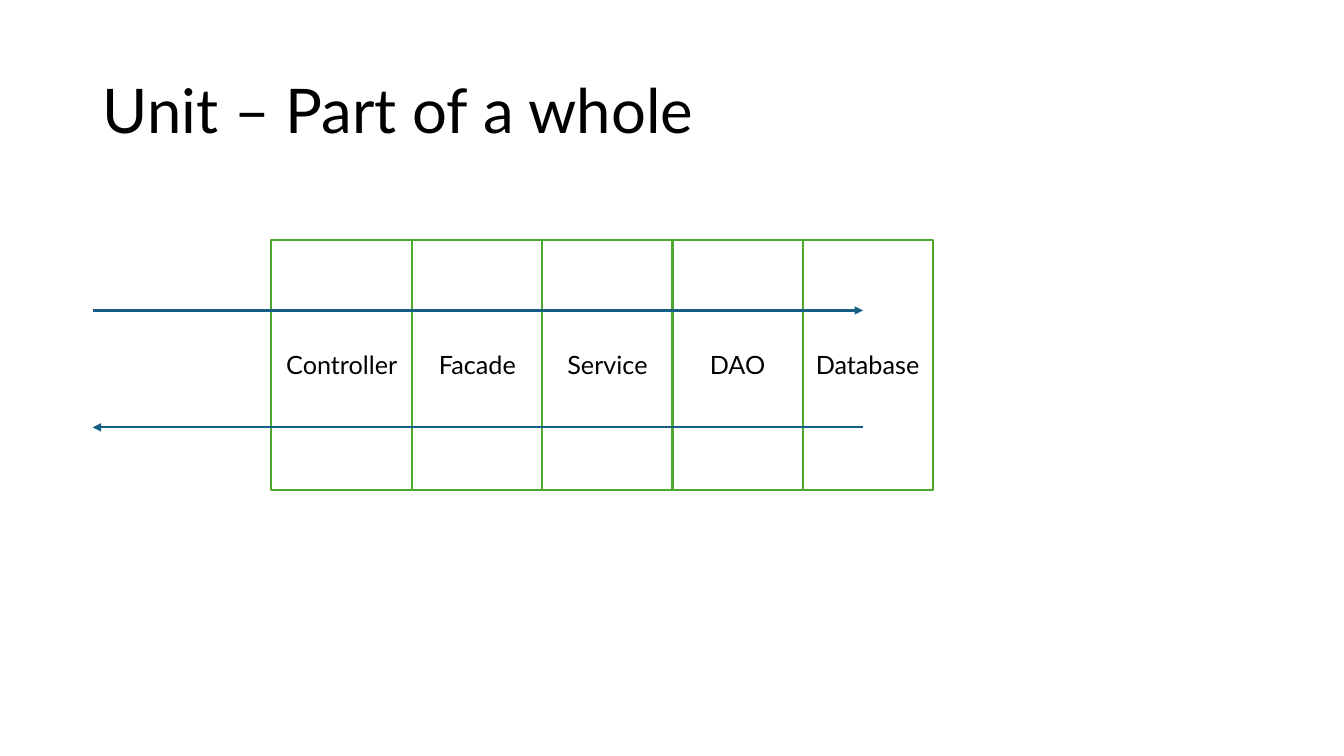
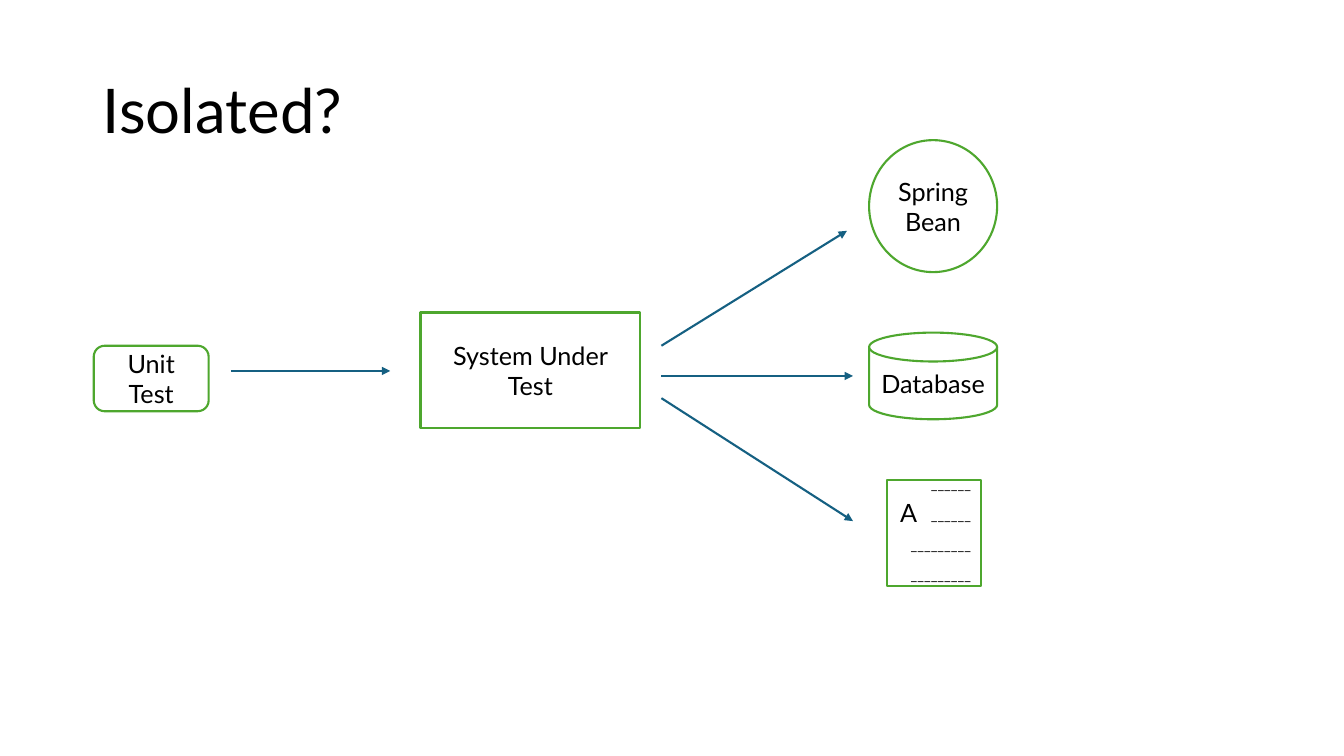
from dataclasses import dataclass

import pptx
import pptx.dml.color
import pptx.enum.shapes
import pptx.enum.text
import pptx.oxml
import pptx.oxml.ns
import pptx.util
from pptx.util import Inches

Kind = pptx.enum.shapes.MSO_SHAPE
Align = pptx.enum.text.PP_ALIGN
Anchor = pptx.enum.text.MSO_ANCHOR


@dataclass(frozen=True)
class Theme:
    font: str = "Lato"
    ink: str = "000000"
    paper: str = "FFFFFF"
    edge: str = "4EA72E"
    arrow: str = "156082"
    head: float = 44
    body: float = 18
    line: float = 1.5


@dataclass(frozen=True)
class Node:
    text: str
    left: float
    top: float
    width: float
    height: float
    kind: Kind = Kind.RECTANGLE
    align: Align = Align.CENTER
    raised: bool = False


@dataclass(frozen=True)
class Arrow:
    x1: float
    y1: float
    x2: float
    y2: float


THEME = Theme()


def color(code: str) -> pptx.dml.color.RGBColor:
    return pptx.dml.color.RGBColor.from_string(code)


def write(frame, text: str, *, size: float = THEME.body, align: Align = Align.CENTER,
          anchor: Anchor = Anchor.MIDDLE, space: float | None = None,
          raised: bool = False) -> None:
    """Fill a text frame, one paragraph per line; raised sets superscript."""
    frame.word_wrap = True
    frame.auto_size = pptx.enum.text.MSO_AUTO_SIZE.NONE
    frame.vertical_anchor = anchor
    for i, line in enumerate(text.split("\n")):
        para = frame.add_paragraph() if i else frame.paragraphs[0]
        para.alignment = align
        para.line_spacing = space
        run = para.add_run()
        run.text = line
        run.font.name = THEME.font
        run.font.size = pptx.util.Pt(size)
        run.font.color.rgb = color(THEME.ink)
        if raised:
            run._r.get_or_add_rPr().set("baseline", "30000")


def add_slide(deck, title: str):
    slide = deck.slides.add_slide(deck.slide_layouts[5])
    head = slide.shapes.title
    head.left, head.top = Inches(0.92), Inches(0.4)
    head.width, head.height = Inches(11.5), Inches(1.45)
    write(head.text_frame, title, size=THEME.head, align=Align.LEFT, space=0.9)
    return slide


def add_node(slide, node: Node) -> None:
    shape = slide.shapes.add_shape(
        node.kind, Inches(node.left), Inches(node.top),
        Inches(node.width), Inches(node.height))
    shape.shadow.inherit = False
    shape.fill.solid()
    shape.fill.fore_color.rgb = color(THEME.paper)
    shape.line.color.rgb = color(THEME.edge)
    shape.line.width = pptx.util.Pt(THEME.line)
    write(shape.text_frame, node.text, align=node.align, raised=node.raised)


def add_arrow(slide, arrow: Arrow) -> None:
    link = slide.shapes.add_connector(
        pptx.enum.shapes.MSO_CONNECTOR.STRAIGHT,
        Inches(arrow.x1), Inches(arrow.y1), Inches(arrow.x2), Inches(arrow.y2))
    link.line.color.rgb = color(THEME.arrow)
    link.line.width = pptx.util.Pt(THEME.line)
    space = pptx.oxml.ns.nsdecls("a")
    tip = pptx.oxml.parse_xml(f'<a:tailEnd {space} type="triangle"/>')
    link.line._get_or_add_ln().append(tip)
    link._element.spPr.append(pptx.oxml.parse_xml(f"<a:effectLst {space}/>"))


def draw_unit(deck) -> None:
    slide = add_slide(deck, "Unit – Part of a whole")
    left = 2.69
    for name in ("Controller", "Facade", "Service", "DAO", "Database"):
        width = 1.4 if name == "Controller" else 1.29
        add_node(slide, Node(name, left, 2.38, width, 2.48))
        left += width
    start, end = 0.92, 8.56
    add_arrow(slide, Arrow(start, 3.08, end, 3.08))
    add_arrow(slide, Arrow(end, 4.24, start, 4.24))


def draw_isolated(deck) -> None:
    slide = add_slide(deck, "Isolated?")
    rules = "\n".join("_" * count for count in (6, 6, 9, 9))
    nodes = (
        Node("Unit Test", 0.93, 3.43, 1.14, 0.65, Kind.ROUNDED_RECTANGLE),
        Node("System Under Test", 4.17, 3.1, 2.18, 1.15),
        Node("Spring Bean", 8.62, 1.39, 1.27, 1.31, Kind.OVAL),
        Node("Database", 8.62, 3.3, 1.27, 0.86, Kind.FLOWCHART_MAGNETIC_DISK),
        Node(rules, 8.8, 4.76, 0.93, 1.05, align=Align.RIGHT, raised=True),
    )
    for node in nodes:
        add_node(slide, node)
    letter = slide.shapes.add_textbox(
        Inches(8.83), Inches(4.88), Inches(0.4), Inches(0.4))
    write(letter.text_frame, "A", align=Align.LEFT, anchor=Anchor.TOP)

    fork = 6.56
    arrows = (
        Arrow(2.29, 3.68, 3.87, 3.68),
        Arrow(fork, 3.43, 8.4, 2.29),
        Arrow(fork, 3.73, 8.46, 3.73),
        Arrow(fork, 3.95, 8.46, 5.17),
    )
    for arrow in arrows:
        add_arrow(slide, arrow)


def main() -> None:
    deck = pptx.Presentation()
    deck.slide_width, deck.slide_height = Inches(13.33), Inches(7.5)
    draw_unit(deck)
    draw_isolated(deck)
    deck.save("out.pptx")


if __name__ == "__main__":
    main()
